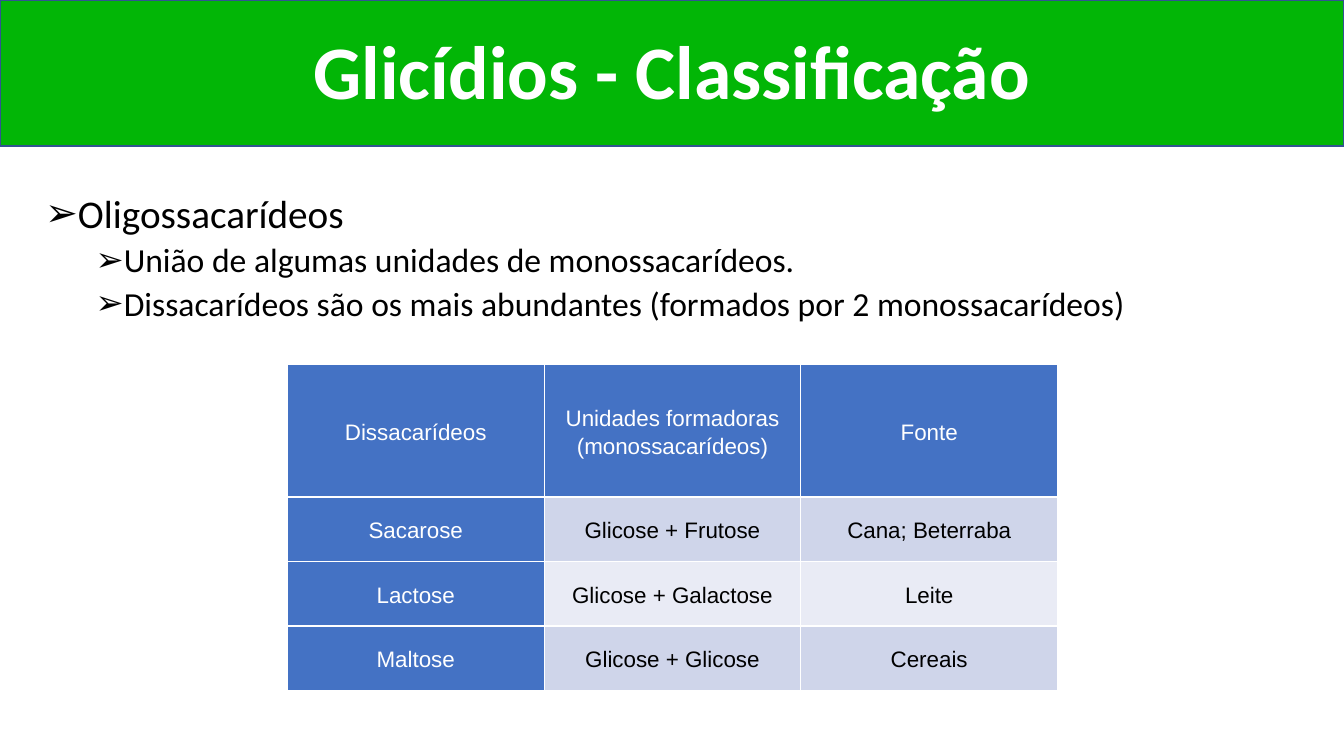
from dataclasses import dataclass

from lxml import etree
from pptx import Presentation
from pptx.dml.color import RGBColor
from pptx.enum.shapes import MSO_SHAPE
from pptx.enum.text import MSO_ANCHOR, MSO_AUTO_SIZE, PP_ALIGN
from pptx.oxml.ns import qn
from pptx.util import Inches, Pt

RECT = MSO_SHAPE.RECTANGLE
MIDDLE = MSO_ANCHOR.MIDDLE
CENTER = PP_ALIGN.CENTER
NO_FIT = MSO_AUTO_SIZE.NONE


@dataclass(frozen=True)
class Theme:
    """Colours, fonts and type sizes of the slide."""
    green: str = "02B606"
    outline: str = "325491"
    white: str = "FFFFFF"
    black: str = "000000"
    blue: str = "4472C4"
    bands: tuple = ("CFD5EA", "E9EBF5")
    font: str = "Calibri"
    table_font: str = "Arial"
    title: int = 54
    levels: tuple = (28, 24)
    table: int = 16


T = Theme()
TITLE = "Glicídios - Classificação"
BULLETS = [
    (0, "Oligossacarídeos"),
    (1, "União de algumas unidades de monossacarídeos."),
    (1, "Dissacarídeos são os mais abundantes (formados por 2 monossacarídeos)"),
]
ROWS = [
    ("Dissacarídeos", "Unidades formadoras (monossacarídeos)", "Fonte"),
    ("Sacarose", "Glicose + Frutose", "Cana; Beterraba"),
    ("Lactose", "Glicose + Galactose", "Leite"),
    ("Maltose", "Glicose + Glicose", "Cereais"),
]


def rgb(color):
    """Turn a hex string into a colour."""
    return RGBColor.from_string(color)


def write(p, text, size, color=T.black, font=T.font, bold=False, align=None,
          spacing=0.9, before=0, after=0):
    """Put formatted text into a paragraph."""
    p.alignment = align
    p.line_spacing = spacing
    p.space_before, p.space_after = Pt(before), Pt(after)
    r = p.add_run()
    r.text = text
    r.font.name, r.font.size, r.font.bold = font, Pt(size), bold
    r.font.color.rgb = rgb(color)


def set_bullet(p, level):
    """Give a paragraph an arrow bullet with a hanging indent."""
    p.level = level
    pPr = p._p.get_or_add_pPr()
    pPr.set("marL", str(Inches(0.25 + 0.5 * level)))
    pPr.set("indent", str(Inches(-0.25)))
    etree.SubElement(pPr, qn("a:buFont")).set("typeface", T.table_font)
    etree.SubElement(pPr, qn("a:buChar")).set("char", "➢")


def set_borders(cell, color, width):
    """Draw the four borders of a cell."""
    tcPr = cell._tc.get_or_add_tcPr()
    for side in ("lnL", "lnR", "lnT", "lnB"):
        ln = etree.SubElement(tcPr, qn(f"a:{side}"), w=str(Pt(width)))
        fill = etree.SubElement(ln, qn("a:solidFill"))
        etree.SubElement(fill, qn("a:srgbClr"), val=color)


def add_header(s, x, y, w, h):
    """Place the green band with the title centred on it."""
    band = s.shapes.add_shape(RECT, x, y, w, h)
    band.shadow.inherit = False
    band.fill.solid()
    band.fill.fore_color.rgb = rgb(T.green)
    band.line.color.rgb = rgb(T.outline)
    band.line.width = Pt(1)
    title = s.shapes.title
    title.element.addprevious(band.element)
    title.width, title.height = Inches(8.62), h
    title.left, title.top = x + (w - title.width) // 2, y + Inches(0.02)
    tf = title.text_frame
    tf.word_wrap, tf.auto_size, tf.vertical_anchor = True, NO_FIT, MIDDLE
    write(tf.paragraphs[0], TITLE, T.title, color=T.white, bold=True, align=CENTER)


def add_bullets(s, x, y, w, h):
    """Place the bulleted text."""
    tf = s.shapes.add_textbox(x, y, w, h).text_frame
    tf.word_wrap = True
    for i, (level, text) in enumerate(BULLETS):
        p = tf.add_paragraph() if i else tf.paragraphs[0]
        write(p, text, T.levels[level], before=5 if i else 0)
        set_bullet(p, level)


def add_sugar_table(s, x, y, w, h):
    """Place the table of disaccharides, its header row twice as tall."""
    table = s.shapes.add_table(len(ROWS), len(ROWS[0]), x, y, w, h).table
    body_h = Inches(0.64)
    for col in table.columns:
        col.width = w // len(ROWS[0])
    for i, row in enumerate(ROWS):
        table.rows[i].height = body_h if i else h - body_h * (len(ROWS) - 1)
        for j, text in enumerate(row):
            cell = table.cell(i, j)
            heading = i == 0 or j == 0
            cell.vertical_anchor = MIDDLE
            cell.margin_left = cell.margin_right = Inches(0.07)
            cell.margin_top = cell.margin_bottom = 0
            set_borders(cell, T.white, 1)
            cell.fill.solid()
            cell.fill.fore_color.rgb = rgb(T.blue if heading else T.bands[(i - 1) % 2])
            write(cell.text_frame.paragraphs[0], text, T.table,
                  color=T.white if heading else T.black, font=T.table_font,
                  align=CENTER, spacing=1.15, after=10)


def main():
    """Build and save the slide."""
    prs = Presentation()
    prs.slide_width, prs.slide_height = Inches(13.33), Inches(7.5)
    s = prs.slides.add_slide(prs.slide_layouts[5])
    add_header(s, 0, 0, prs.slide_width, Inches(1.45))
    add_bullets(s, Inches(0.35), Inches(1.88), Inches(12.33), Inches(5.41))
    add_sugar_table(s, Inches(2.85), Inches(3.62), Inches(7.64), Inches(3.23))
    prs.save("out.pptx")


if __name__ == "__main__":
    main()
